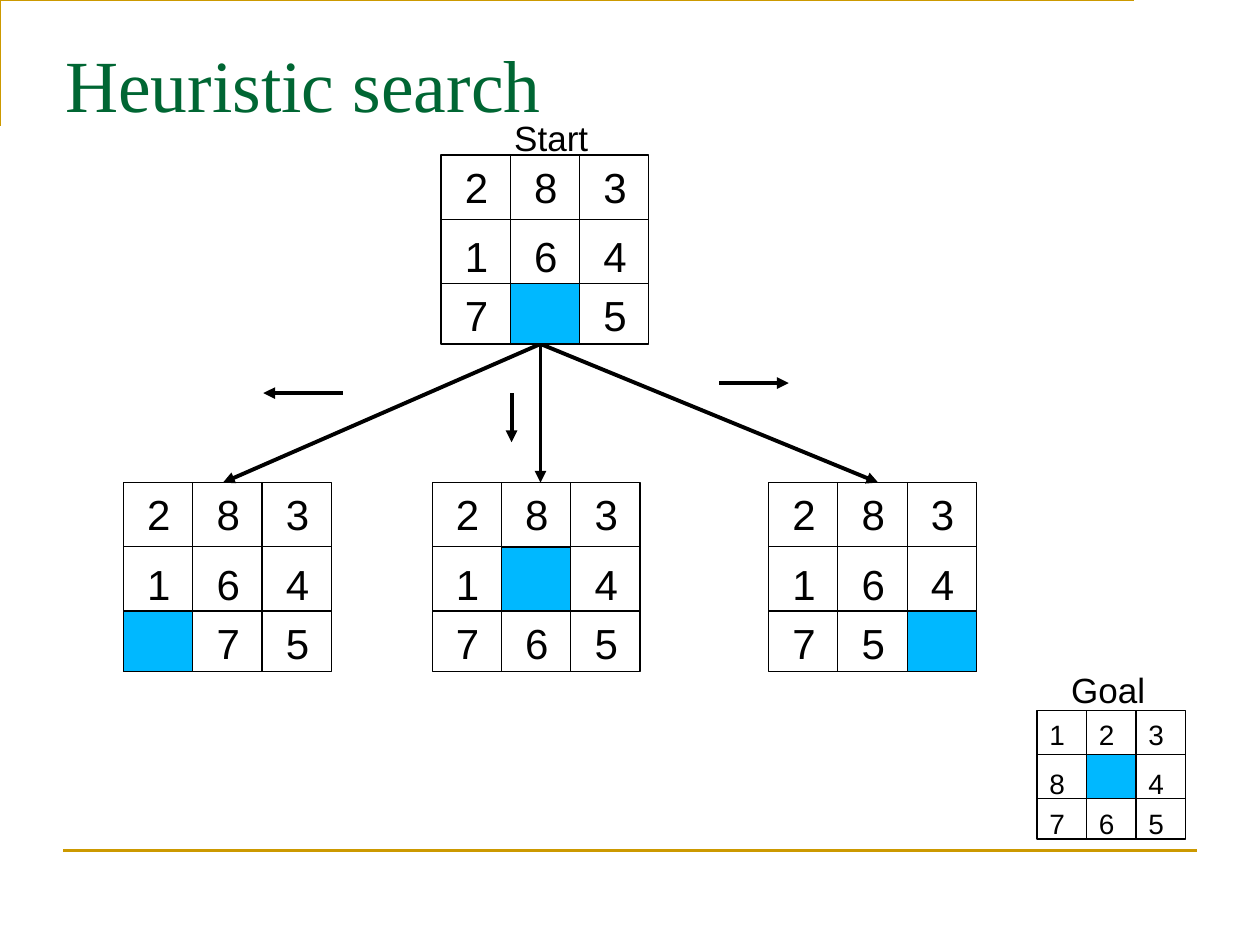
import pptx
import pptx.util
import pptx.dml.color
import pptx.enum.shapes
import pptx.enum.text
import pptx.oxml
import pptx.oxml.ns

Inches = pptx.util.Inches
COLORS = {"ink": "000000", "blank": "00B8FF", "gold": "CC9900", "title": "006633"}
LARGE = {
    "width": 1.65, "rows": (0, 0.51, 1.02, 1.5), "size": 24,
    "digit_left": 0.09, "digit_tops": (0, 0.55, 1.02), "digit_box": (0.38, 0.5),
}
SMALL = {
    "width": 1.18, "rows": (0, 0.35, 0.7, 1.02), "size": 16,
    "digit_left": 0, "digit_tops": (0, 0.39, 0.71), "digit_box": (0.32, 0.37),
}


class PuzzleSlide:
    def __init__(self, slide):
        self.slide = slide
        self.shapes = slide.shapes

    def color(self, name):
        return pptx.dml.color.RGBColor.from_string(COLORS[name])

    def outline(self, shape, color, weight):
        shape.line.color.rgb = self.color(color)
        shape.line.width = pptx.util.Pt(weight)

    def corner(self, left, top, right, bottom):
        builder = self.shapes.build_freeform(left, bottom, scale=Inches(1))
        builder.add_line_segments([(left, top), (right, top)], close=False)
        bracket = builder.convert_to_shape()
        bracket.shadow.inherit = False
        bracket.fill.background()
        self.outline(bracket, "gold", 1.5)

    def line(self, start, end, color="ink", weight=0.75, arrow=False, parent=None):
        connector = (parent or self.slide).shapes.add_connector(
            pptx.enum.shapes.MSO_CONNECTOR.STRAIGHT, *map(Inches, start + end))
        self.outline(connector, color, weight)
        if arrow:
            head = pptx.oxml.parse_xml(
                f'<a:tailEnd {pptx.oxml.ns.nsdecls("a")} type="triangle"/>')
            connector.line._get_or_add_ln().append(head)
        effects = pptx.oxml.parse_xml(f'<a:effectLst {pptx.oxml.ns.nsdecls("a")}/>')
        connector._element.spPr.append(effects)

    def rectangle(self, left, top, width, height, fill=None, parent=None):
        rect = (parent or self.slide).shapes.add_shape(
            pptx.enum.shapes.MSO_SHAPE.RECTANGLE, *map(Inches, (left, top, width, height)))
        rect.shadow.inherit = False
        if fill:
            rect.fill.solid()
            rect.fill.fore_color.rgb = self.color(fill)
        else:
            rect.fill.background()
        self.outline(rect, "ink", 0.75)

    def text(self, words, left, top, width, height, size,
             color="ink", font="Arial", align="CENTER", wrap=False):
        box = self.shapes.add_textbox(*map(Inches, (left, top, width, height)))
        frame_format = {
            "word_wrap": wrap,
            "vertical_anchor": pptx.enum.text.MSO_ANCHOR.BOTTOM,
        }
        for name, value in frame_format.items():
            setattr(box.text_frame, name, value)
        paragraph = box.text_frame.paragraphs[0]
        paragraph.alignment = getattr(pptx.enum.text.PP_ALIGN, align)
        run = paragraph.add_run()
        run.text = words
        for name, value in {"name": font, "size": pptx.util.Pt(size)}.items():
            setattr(run.font, name, value)
        run.font.color.rgb = self.color(color)

    def board(self, left, top, rows, style):
        width, edges = style["width"], style["rows"]
        cell = width / 3
        right, bottom = left + width, top + edges[-1]
        grid = self.shapes.add_group_shape()
        self.rectangle(left, top, width, edges[-1], parent=grid)
        for i in (1, 2):
            x, y = left + i * cell, top + edges[i]
            self.line((x, top), (x, bottom), parent=grid)
            self.line((left, y), (right, y), parent=grid)
        for r, digits in enumerate(rows):
            for c, digit in enumerate(digits):
                x = left + c * cell
                if digit == "_":
                    self.rectangle(x, top + edges[r], cell, edges[r + 1] - edges[r], "blank")
                else:
                    self.text(digit, x + style["digit_left"], top + style["digit_tops"][r],
                              *style["digit_box"], style["size"])


def main():
    deck = pptx.Presentation()
    deck.slide_width, deck.slide_height = Inches(10), Inches(7.5)
    search = PuzzleSlide(deck.slides.add_slide(deck.slide_layouts[6]))

    search.corner(0.42, 0.25, 9.42, 0.92)
    search.line((0.5, 6.75), (9.5, 6.75), "gold", 1.5)
    search.text("Heuristic search", 0.42, 0.25, 9, 0.81, 42,
                "title", "Times New Roman", "LEFT", True)

    start_bottom, child_top = (4.29, 2.73), 3.83
    for child_x in (1.77, 4.29, 6.97):
        search.line(start_bottom, (child_x, child_top), weight=2.25, arrow=True)

    boards = [
        (3.5, 1.23, ("283", "164", "7_5"), LARGE),
        (0.98, child_top, ("283", "164", "_75"), LARGE),
        (3.43, child_top, ("283", "1_4", "765"), LARGE),
        (6.1, child_top, ("283", "164", "75_"), LARGE),
        (8.23, 5.64, ("123", "8_4", "765"), SMALL),
    ]
    for board in boards:
        search.board(*board)

    moves = [
        ((2.72, 3.12), (2.09, 3.12)),
        ((4.06, 3.12), (4.06, 3.51)),
        ((5.71, 3.04), (6.26, 3.04)),
    ]
    for origin, target in moves:
        search.line(origin, target, weight=2.25, arrow=True)

    for label, left, top in (("Start", 3.98, 0.87), ("Goal", 8.4, 5.25)):
        search.text(label, left, top, 0.79, 0.44, 20)

    deck.save("out.pptx")


if __name__ == "__main__":
    main()
